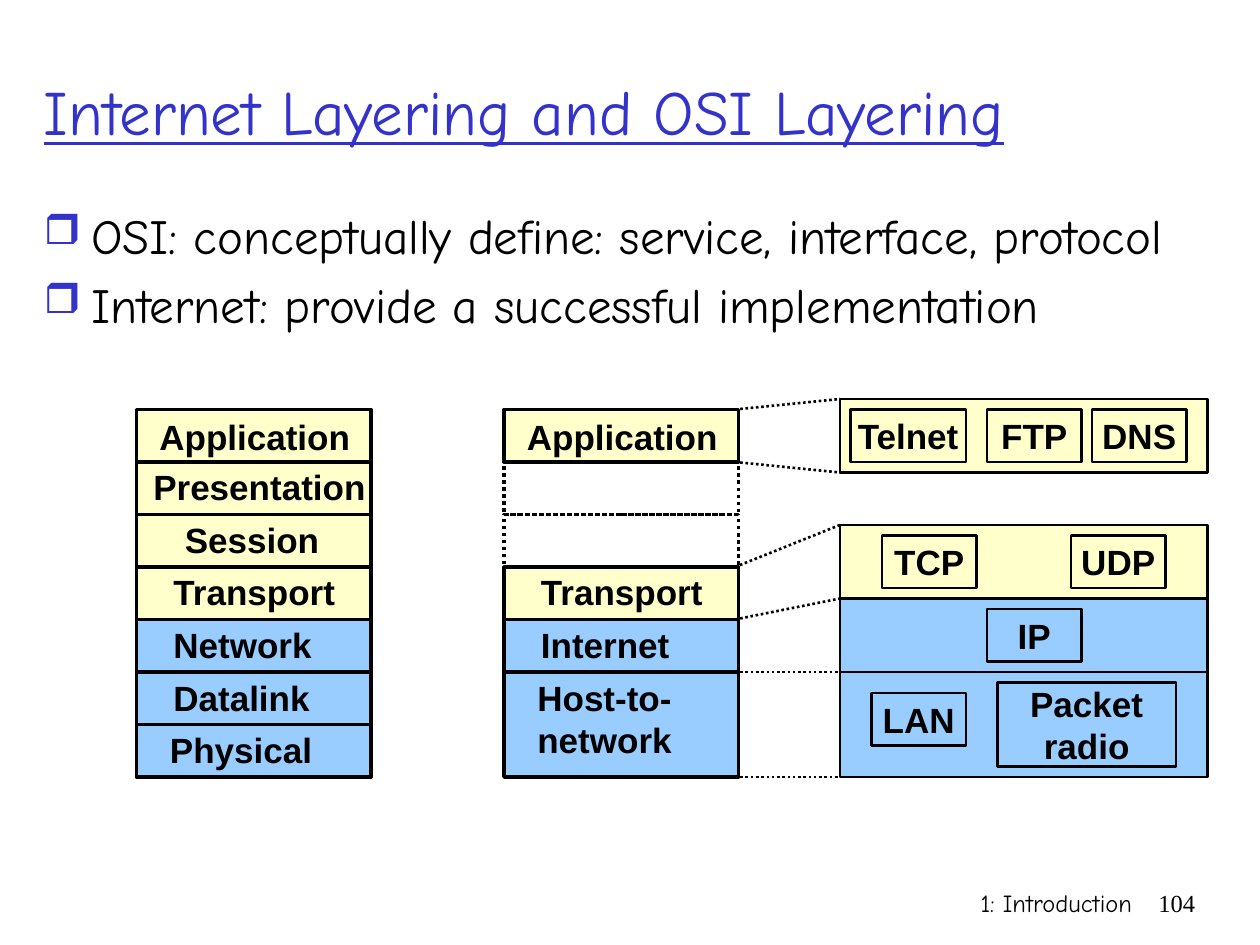
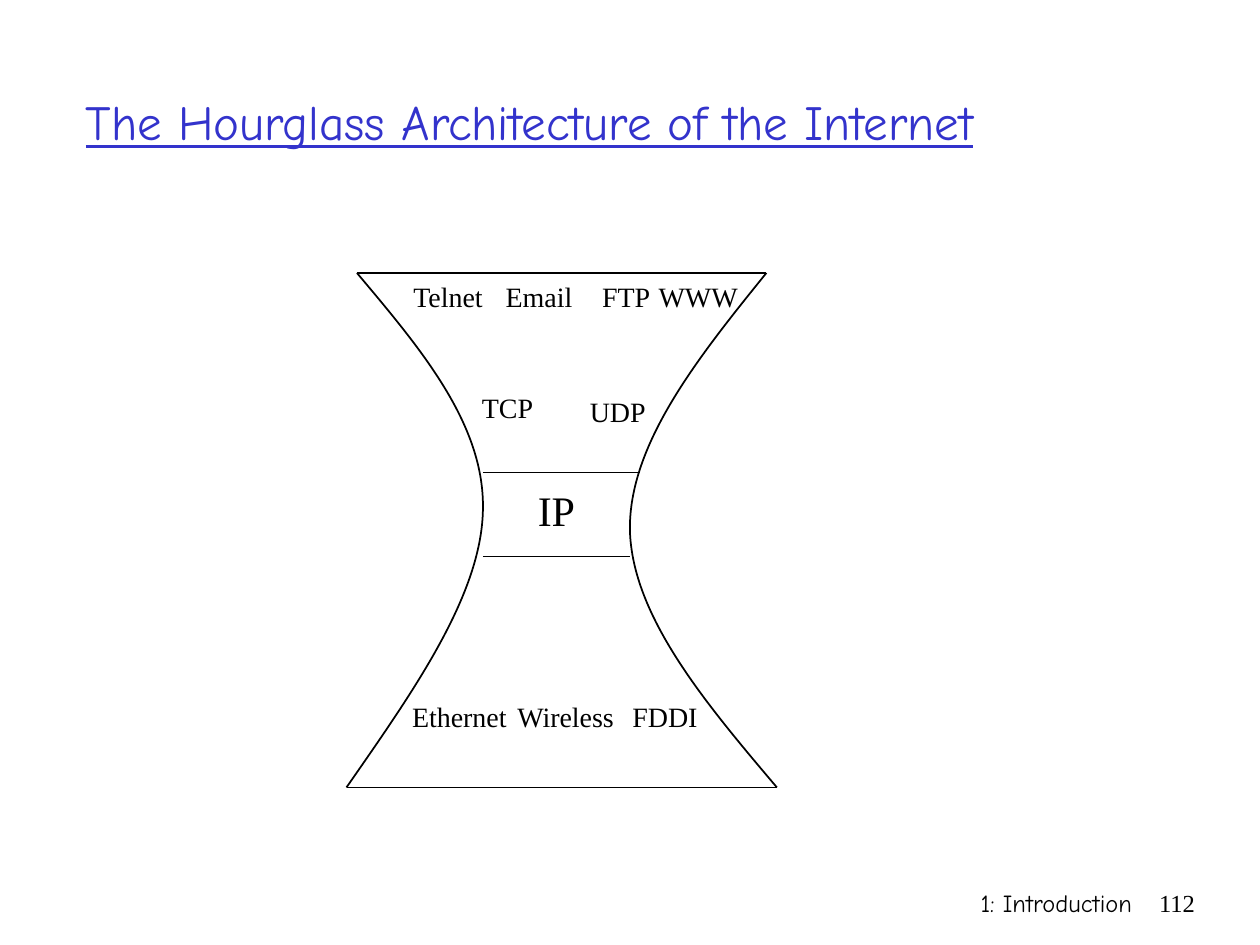
from collections import namedtuple
from dataclasses import dataclass

from lxml.etree import SubElement
from pptx import Presentation
from pptx.dml.color import RGBColor
from pptx.enum.dml import MSO_LINE
from pptx.enum.shapes import MSO_CONNECTOR, MSO_SHAPE
from pptx.enum.text import MSO_ANCHOR, MSO_AUTO_SIZE, PP_ALIGN
from pptx.oxml.ns import qn
from pptx.util import Pt

Style = namedtuple("Style", "font size color bold underline", defaults=("000000", False, False))


@dataclass(frozen=True)
class Theme:
    ink: str = "000000"
    accent: str = "3333CC"
    upper: str = "FFFFCC"
    lower: str = "99CCFF"
    title: Style = Style("Comic Neue", 36, "3333CC", underline=True)
    long_title: Style = Style("Comic Neue", 28, "3333CC", underline=True)
    body: Style = Style("Comic Neue", 28)
    chapter: Style = Style("Comic Neue", 14)
    number: Style = Style("Times New Roman", 14)
    layer: Style = Style("Arial", 20, bold=True)
    waist: Style = Style("Times New Roman", 24)
    protocol: Style = Style("Times New Roman", 16)


THEME = Theme()

CHAPTER = "1: Introduction"
LAYERING_TITLE = "Internet Layering and OSI Layering"
HOURGLASS_TITLE = "The Hourglass Architecture of the Internet"
POINTS = [
    "OSI: conceptually define: service, interface, protocol",
    "Internet: provide a successful implementation",
]

LAYER_LABELS = {
    "Application": (6, 125),
    "Presentation": (2.5, 137),
    "Session": (20.5, 93),
    "Transport": (14, 110),
    "Network": (14, 96),
    "Datalink": (14, 94),
    "Physical": (12, 98),
    "Internet": (14, 90),
    "Host-to-\nnetwork": (12, 93.5),
}
OSI_LEFT, INTERNET_LEFT = 78, 288
OSI_STACK = [
    ("Application", 0, 1, THEME.upper),
    ("Presentation", 1, 1, THEME.upper),
    ("Session", 2, 1, THEME.upper),
    ("Transport", 3, 1, THEME.upper),
    ("Network", 4, 1, THEME.lower),
    ("Datalink", 5, 1, THEME.lower),
    ("Physical", 6, 1, THEME.lower),
]
INTERNET_STACK = [
    ("Internet", 4, 1, THEME.lower),
    ("Host-to-\nnetwork", 5, 2, THEME.lower),
    ("Transport", 3, 1, THEME.upper),
    ("Application", 0, 1, THEME.upper),
    (None, 1, 1, None),
    (None, 2, 1, None),
]
STACK_TOP, ROW, LAYER_WIDTH = 234, 30, 134

BAND_LEFT, BAND_WIDTH = 480, 210
PROTOCOL_BANDS = [
    (342, 42, THEME.lower, [("IP", 84, 6, 54, 30)]),
    (384, 60, THEME.lower, [("LAN", 18, 12, 54, 30), ("Packet\nradio", 90, 6, 102, 48)]),
    (300, 42, THEME.upper, [("TCP", 24, 6, 54, 30), ("UDP", 132, 6, 54, 30)]),
    (228, 42, THEME.upper, [("Telnet", 6, 6, 66, 30), ("FTP", 84, 6, 54, 30), ("DNS", 144, 6, 54, 30)]),
]
CALLOUT_LEFT = 420
CALLOUTS = [(234, 228), (264, 270), (324, 300), (354, 342), (384, 384), (444, 444)]

GLASS_SIDES = [
    [(204, 156), (240.5, 199.4), (277.2, 242.6), (276, 291.6),
     (275, 340.6), (236, 395.3), (198, 450)],
    [(438, 156), (398.2, 205.2), (359.3, 254.2), (360, 303.1),
     (361.4, 352.1), (402.5, 401), (444, 450)],
]
WAIST_EDGES = [(276, 366, 270), (276, 360, 318)]
GLASS_ENDS = [(204, 438, 156), (198, 444, 450)]
WAIST = ("IP", 300, 273.5, 36, 36)
GLASS_PROTOCOLS = [
    ("Ethernet", 227.5, 396, 70),
    ("FDDI", 353.5, 396, 53),
    ("Wireless", 287.5, 396, 71.5),
    ("TCP", 267.5, 219.5, 45),
    ("UDP", 329, 222, 48),
    ("Telnet", 227.75, 156, 56.5),
    ("Email", 281.25, 156, 53.5),
    ("FTP", 336.25, 156, 43),
    ("WWW", 368.5, 156, 61),
]


def rgb(color):
    return RGBColor.from_string(color)


def box_at(left, top, width, height):
    return Pt(left), Pt(top), Pt(width), Pt(height)


def write(frame, lines, style, align=PP_ALIGN.LEFT, anchor=MSO_ANCHOR.TOP, wrap=True):
    frame.word_wrap = wrap
    frame.vertical_anchor = anchor
    for index, line in enumerate(lines):
        paragraph = frame.add_paragraph() if index else frame.paragraphs[0]
        paragraph.alignment = align
        run = paragraph.add_run()
        run.text = line
        run.font.name = style.font
        run.font.size = Pt(style.size)
        run.font.bold = style.bold
        run.font.underline = style.underline
        run.font.color.rgb = rgb(style.color)


def add_text(slide, place, lines, style, **options):
    frame = slide.shapes.add_textbox(*box_at(*place)).text_frame
    write(frame, lines, style, **options)
    return frame


def add_label(slide, place, text, style, align=PP_ALIGN.LEFT):
    frame = add_text(slide, place, text.split("\n"), style, align=align, wrap=False)
    frame.auto_size = MSO_AUTO_SIZE.SHAPE_TO_FIT_TEXT


def outline(line, width, dotted=False):
    line.color.rgb = rgb(THEME.ink)
    line.width = Pt(width)
    if dotted:
        line.dash_style = MSO_LINE.ROUND_DOT


def add_box(slide, place, fill, width):
    box = slide.shapes.add_shape(MSO_SHAPE.RECTANGLE, *box_at(*place))
    box.shadow.inherit = False
    if fill:
        box.fill.solid()
        box.fill.fore_color.rgb = rgb(fill)
    else:
        box.fill.background()
    outline(box.line, width, dotted=not fill)
    return box


def add_line(slide, start, end, width, dotted=False):
    line = slide.shapes.add_connector(MSO_CONNECTOR.STRAIGHT, *map(Pt, start + end))
    SubElement(line._element.spPr, qn("a:effectLst"))
    outline(line.line, width, dotted)


def add_curve(slide, points, width):
    start, *rest = [(Pt(x), Pt(y)) for x, y in points]
    builder = slide.shapes.build_freeform(*start)
    builder.add_line_segments(rest, close=False)
    curve = builder.convert_to_shape()
    curve.shadow.inherit = False
    curve.fill.background()
    outline(curve.line, width)
    segments = list(curve._element.iter(qn("a:lnTo")))
    track = segments[0].getparent()
    for first in range(0, len(segments), 3):
        bezier = SubElement(track, qn("a:cubicBezTo"))
        for segment in segments[first:first + 3]:
            bezier.append(segment[0])
            track.remove(segment)


def add_bullet(paragraph):
    properties = paragraph._p.get_or_add_pPr()
    properties.set("marL", str(Pt(27)))
    properties.set("indent", str(-Pt(27)))
    color = SubElement(properties, qn("a:buClr"))
    SubElement(color, qn("a:srgbClr"), val=THEME.accent)
    SubElement(properties, qn("a:buSzPct"), val="85000")
    SubElement(properties, qn("a:buChar"), char="❒")


def add_slide(deck, title, place, style, number):
    slide = deck.slides.add_slide(deck.slide_layouts[6])
    add_text(slide, (426, 504, 228, 36), [CHAPTER], THEME.chapter, align=PP_ALIGN.RIGHT)
    add_text(slide, (654, 504, 36, 36), [number], THEME.number, align=PP_ALIGN.RIGHT)
    add_text(slide, place, [title], style, anchor=MSO_ANCHOR.MIDDLE)
    return slide


def draw_stack(slide, left, stack):
    for name, row, rows, fill in stack:
        top = STACK_TOP + row * ROW
        add_box(slide, (left, top, LAYER_WIDTH, rows * ROW), fill, 2)
        if name:
            offset, width = LAYER_LABELS[name]
            label_top = top - 1.25 if row else top
            add_label(slide, (left + offset, label_top, width, 31 + 24 * (rows - 1)), name, THEME.layer)


def draw_bands(slide):
    for top, height, fill, protocols in PROTOCOL_BANDS:
        add_box(slide, (BAND_LEFT, top, BAND_WIDTH, height), fill, 1.5)
        for name, across, down, wide, high in protocols:
            box = add_box(slide, (BAND_LEFT + across, top + down, wide, high), fill, 1.5)
            write(box.text_frame, name.split("\n"), THEME.layer,
                  align=PP_ALIGN.CENTER, anchor=MSO_ANCHOR.MIDDLE, wrap=False)
    for layer_y, band_y in CALLOUTS:
        add_line(slide, (CALLOUT_LEFT, layer_y), (BAND_LEFT, band_y), 1.5, dotted=True)


def build_layering(deck):
    slide = add_slide(deck, LAYERING_TITLE, (18, 18, 672, 90), THEME.title, "104")
    points = add_text(slide, (18, 114, 690, 108), POINTS, THEME.body)
    for index, paragraph in enumerate(points.paragraphs):
        add_bullet(paragraph)
        if index:
            paragraph.space_before = Pt(5.6)
    draw_stack(slide, OSI_LEFT, OSI_STACK)
    draw_stack(slide, INTERNET_LEFT, INTERNET_STACK)
    draw_bands(slide)


def build_hourglass(deck):
    slide = add_slide(deck, HOURGLASS_TITLE, (42, 30, 612, 78), THEME.long_title, "112")
    for side in GLASS_SIDES:
        add_curve(slide, side, 1)
    for left, right, y in WAIST_EDGES + GLASS_ENDS:
        add_line(slide, (left, y), (right, y), 1)
    waist, *place = WAIST
    add_label(slide, place, waist, THEME.waist, PP_ALIGN.CENTER)
    for name, left, top, width in GLASS_PROTOCOLS:
        add_label(slide, (left, top, width, 26.5), name, THEME.protocol, PP_ALIGN.CENTER)


def main():
    deck = Presentation()
    deck.slide_width, deck.slide_height = Pt(720), Pt(540)
    build_layering(deck)
    build_hourglass(deck)
    deck.save("out.pptx")


if __name__ == "__main__":
    main()
